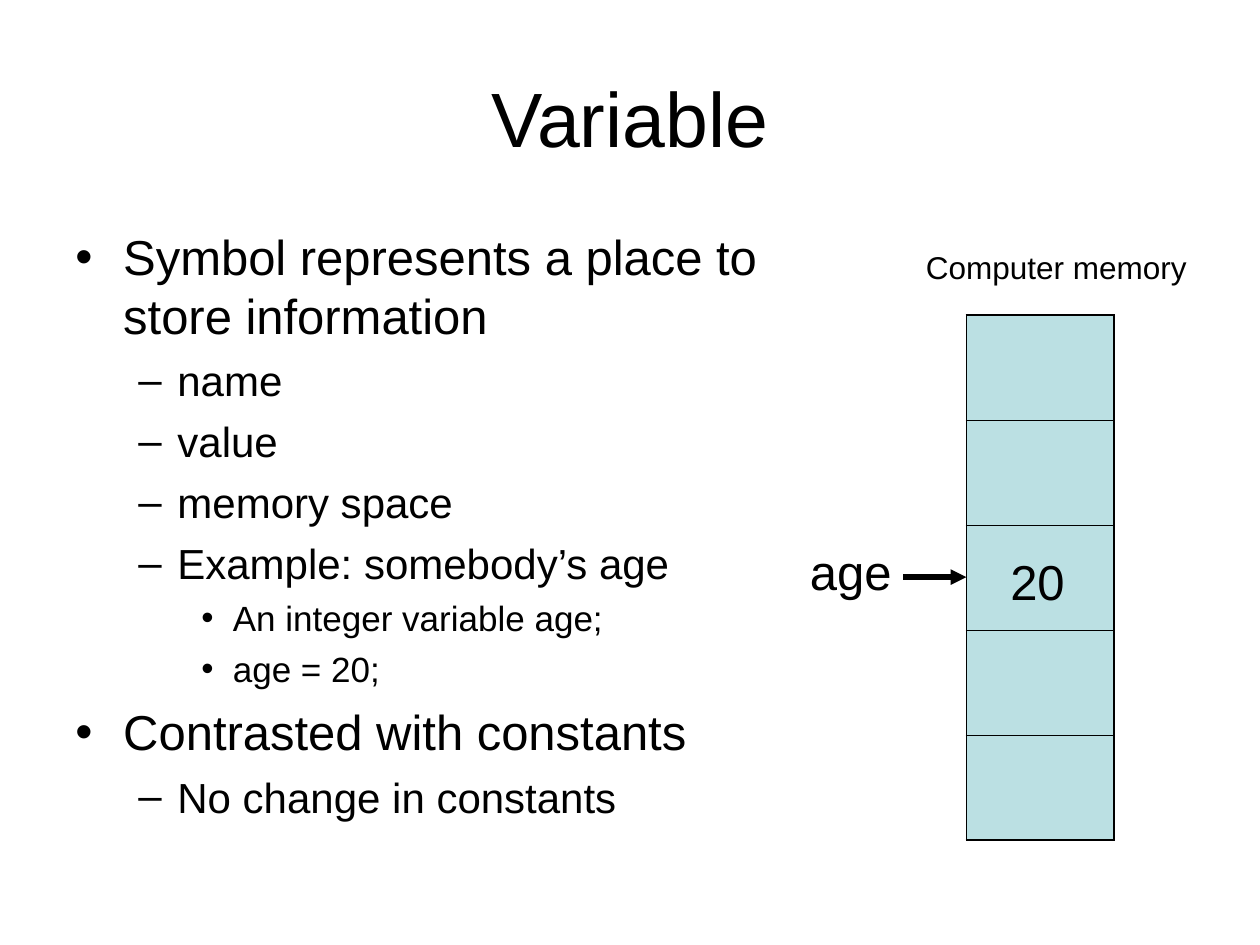
import pptx
import pptx.dml.color
import pptx.enum.shapes
import pptx.enum.text
import pptx.oxml
import pptx.oxml.ns
import pptx.util
from lxml import etree
from pptx.util import Inches

FONT = "Arial"
INK = "000000"
CELL_FILL = "BBE0E3"
LEVELS = [
    {"bullet": "•", "indent": 0.38, "hanging": 0.38, "size": 28, "before": 7},
    {"bullet": "–", "indent": 0.81, "hanging": 0.31, "size": 24, "before": 6},
    {"bullet": "•", "indent": 1.25, "hanging": 0.25, "size": 20, "before": 5},
]
OUTLINE = [
    (0, "Symbol represents a place to store information"),
    (1, "name"),
    (1, "value"),
    (1, "memory space"),
    (1, "Example: somebody’s age"),
    (2, "An integer variable age;"),
    (2, "age = 20;"),
    (0, "Contrasted with constants"),
    (1, "No change in constants"),
]


def color(value):
    """Return the colour for a hex string."""
    return pptx.dml.color.RGBColor.from_string(value)


def add_child(parent, tag, **attributes):
    """Append a drawing element with attributes to a parent."""
    return etree.SubElement(parent, pptx.oxml.ns.qn(tag), attributes)


def format_font(paragraph, size):
    """Apply the slide's typeface and ink to a paragraph."""
    paragraph.font.name = FONT
    paragraph.font.size = pptx.util.Pt(size)
    paragraph.font.color.rgb = color(INK)


def add_label(shapes, text, size, left, top, width, height):
    """Add a single-line text label."""
    label = shapes.add_textbox(Inches(left), Inches(top), Inches(width), Inches(height))
    label.text_frame.word_wrap = True
    label.text_frame.text = text
    format_font(label.text_frame.paragraphs[0], size)


def place_title(slide, left, top, width, height):
    """Move and format the title placeholder."""
    title = slide.shapes.title
    title.left, title.top = Inches(left), Inches(top)
    title.width, title.height = Inches(width), Inches(height)
    title.text_frame.text = "Variable"
    title.text_frame.vertical_anchor = pptx.enum.text.MSO_ANCHOR.MIDDLE
    heading = title.text_frame.paragraphs[0]
    heading.alignment = pptx.enum.text.PP_ALIGN.CENTER
    format_font(heading, 44)


def add_outline(slide, left, top, width, height):
    """Add the three-level bulleted outline."""
    body = slide.shapes.add_textbox(Inches(left), Inches(top), Inches(width), Inches(height))
    frame = body.text_frame
    frame.word_wrap = True
    for index, (level, text) in enumerate(OUTLINE):
        style = LEVELS[level]
        paragraph = frame.add_paragraph() if index else frame.paragraphs[0]
        paragraph.text = text
        paragraph.level = level
        properties = paragraph._p.get_or_add_pPr()
        properties.set("marL", str(Inches(style["indent"])))
        properties.set("indent", str(-Inches(style["hanging"])))
        add_child(properties, "a:buFont", typeface=FONT)
        add_child(properties, "a:buChar", char=style["bullet"])
        if index:
            paragraph.space_before = pptx.util.Pt(style["before"])
        format_font(paragraph, style["size"])


def set_borders(cell, widths):
    """Draw the cell's borders from point widths keyed by side."""
    properties = cell._tc.get_or_add_tcPr()
    for side in "LRTB":
        border = add_child(properties, f"a:ln{side}", w=str(pptx.util.Pt(widths[side])))
        add_child(add_child(border, "a:solidFill"), "a:srgbClr", val=INK)


def add_memory_cells(slide, left, top, width, height, count=5):
    """Add the column of memory cells with a heavier outer border."""
    outer, inner = 1.08, 0.45
    frame = slide.shapes.add_table(
        count, 1, Inches(left), Inches(top), Inches(width), Inches(height)
    )
    memory = frame.table
    memory.first_row = memory.horz_banding = False
    for row in range(count):
        cell = memory.cell(row, 0)
        set_borders(cell, {
            "L": outer,
            "R": outer,
            "T": outer if row == 0 else inner,
            "B": outer if row == count - 1 else inner,
        })
        cell.fill.solid()
        cell.fill.fore_color.rgb = color(CELL_FILL)


def add_pointer(shapes, left, top, length):
    """Add the horizontal arrow that points at a memory cell."""
    pointer = shapes.add_connector(
        pptx.enum.shapes.MSO_CONNECTOR.STRAIGHT,
        Inches(left), Inches(top), Inches(left + length), Inches(top),
    )
    pointer.line.width = pptx.util.Pt(3)
    pointer.line.color.rgb = color(INK)
    add_child(pointer.line._get_or_add_ln(), "a:tailEnd", type="triangle")
    add_child(pointer._element.spPr, "a:effectLst")


def add_memory_diagram(slide, left, top):
    """Add the memory column with its heading, variable name and value."""
    add_memory_cells(slide, left + 1.34, top + 0.58, 1.17, 4.17)
    add_label(slide.shapes, "Computer memory", 18, left + 0.92, top, 2.5, 0.4)
    variable = slide.shapes.add_group_shape()
    add_label(variable.shapes, "age", 28, left, top + 2.33, 1, 0.57)
    add_pointer(variable.shapes, left + 0.84, top + 2.66, 0.5)
    add_label(slide.shapes, "20", 28, left + 1.59, top + 2.41, 0.67, 0.57)


def main():
    """Build and save the slide."""
    deck = pptx.Presentation()
    deck.slide_width, deck.slide_height = Inches(10), Inches(7.5)
    slide = deck.slides.add_slide(deck.slide_layouts.get_by_name("Title Only"))
    place_title(slide, 0.5, 0.3, 9, 1.25)
    add_outline(slide, 0.5, 1.75, 6, 4.95)
    add_memory_diagram(slide, 6.33, 1.92)
    deck.save("out.pptx")


if __name__ == "__main__":
    main()
